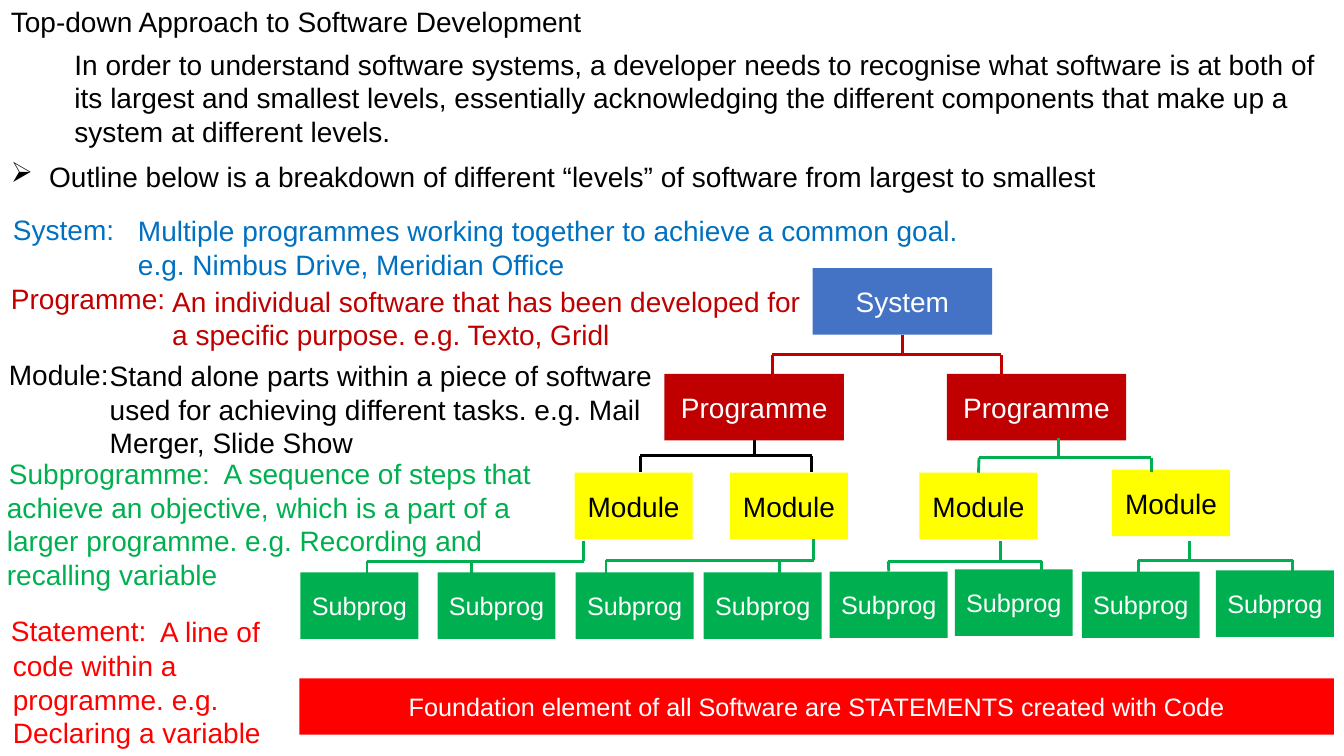
from dataclasses import dataclass

from lxml import etree
from pptx import Presentation
from pptx.dml.color import RGBColor
from pptx.enum.shapes import MSO_CONNECTOR, MSO_SHAPE
from pptx.enum.text import MSO_ANCHOR, MSO_AUTO_SIZE, PP_ALIGN
from pptx.oxml.ns import qn
from pptx.shapes.autoshape import Shape
from pptx.slide import Slide
from pptx.util import Pt

PX = 9144
RECTANGLE = MSO_SHAPE.RECTANGLE
STRAIGHT = MSO_CONNECTOR.STRAIGHT
MIDDLE = MSO_ANCHOR.MIDDLE
CENTER = PP_ALIGN.CENTER
GROW = MSO_AUTO_SIZE.SHAPE_TO_FIT_TEXT
TOP_SIDE, BOTTOM_SIDE = 0, 2

BLACK = RGBColor(0x00, 0x00, 0x00)
WHITE = RGBColor(0xFF, 0xFF, 0xFF)
SYSTEM_BLUE = RGBColor(0x44, 0x72, 0xC4)
TEXT_BLUE = RGBColor(0x00, 0x70, 0xC0)
DARK_RED = RGBColor(0xC0, 0x00, 0x00)
RED = RGBColor(0xFF, 0x00, 0x00)
YELLOW = RGBColor(0xFF, 0xFF, 0x00)
GREEN = RGBColor(0x00, 0xB0, 0x50)


@dataclass(frozen=True)
class Note:
    """A block of running text."""
    left: int
    top: int
    width: int
    height: int
    text: str
    color: RGBColor = BLACK
    margin: int = 0
    indent: int = 0
    bullet: str = ""


@dataclass(frozen=True)
class Level:
    """A row of equal boxes, one for each corner."""
    label: str
    width: int
    height: int
    size: int
    fill: RGBColor
    color: RGBColor
    corners: tuple[tuple[int, int], ...]


@dataclass(frozen=True)
class Bracket:
    """A stem, a bar and the drops that lead to the level below."""
    color: RGBColor
    stem: int
    top: int
    bar: int
    bottom: int
    drops: tuple[int, int]


NOTES = (
    Note(1, 0, 1296, 44, "Top-down Approach to Software Development"),
    Note(64, 42, 1268, 111,
         "In order to understand software systems, a developer needs to recognise what "
         "software is at both of its largest and smallest levels, essentially acknowledging "
         "the different components that make up a system at different levels."),
    Note(1, 153, 1337, 44,
         "Outline below is a breakdown of different “levels” of software from largest to smallest",
         margin=38, indent=-38, bullet="➢"),
    Note(3, 206, 123, 44, "System:", TEXT_BLUE),
    Note(127, 207, 868, 77,
         "Multiple programmes working together to achieve a common goal. "
         "e.g. Nimbus Drive, Meridian Office", TEXT_BLUE),
    Note(1, 274, 178, 44, "Programme:", DARK_RED),
    Note(161, 277, 645, 77,
         "An individual software that has been developed for a specific purpose. "
         "e.g. Texto, Gridl", DARK_RED),
    Note(-1, 350, 146, 44, "Module:"),
    Note(99, 351, 560, 111,
         "Stand alone parts within a piece of software used for achieving different tasks. "
         "e.g. Mail Merger, Slide Show"),
    Note(-1, 448, 222, 44, "Subprogramme:", GREEN),
    Note(-3, 448, 568, 145,
         "A sequence of steps that achieve an objective, which is a part of a larger "
         "programme. e.g. Recording and recalling variable", GREEN, indent=215),
    Note(1, 604, 160, 44, "Statement:", RED),
    Note(3, 605, 293, 145,
         "A line of code within a programme. e.g. Declaring a variable", RED, indent=146),
)

LEVELS = (
    Level("System", 178, 66, 20, SYSTEM_BLUE, WHITE, ((806, 266),)),
    Level("Programme", 178, 66, 20, DARK_RED, WHITE, ((659, 371), (939, 371))),
    Level("Module", 117, 66, 20, YELLOW, BLACK,
          ((570, 469), (724, 469), (912, 469), (1103, 466))),
    Level("Subprog", 117, 66, 18, GREEN, WHITE,
          ((298, 568), (434, 568), (571, 568), (698, 568),
           (823, 567), (947, 565), (1073, 567), (1206, 566))),
    Level("Foundation element of all Software are STATEMENTS created with Code",
          1026, 56, 18, RED, WHITE, ((297, 673),)),
)

BRACKETS = (
    Bracket(DARK_RED, 895, 332, 352, 371, (766, 993)),
    Bracket(BLACK, 748, 438, 452, 468, (635, 805)),
    Bracket(GREEN, 1050, 435, 454, 468, (971, 1142)),
    Bracket(GREEN, 579, 537, 557, 572, (364, 468)),
    Bracket(GREEN, 807, 535, 556, 572, (601, 773)),
    Bracket(GREEN, 992, 537, 557, 572, (881, 1033)),
    Bracket(GREEN, 1180, 537, 556, 572, (1129, 1282)),
)


def write(box: Shape, text: str, size: int, color: RGBColor) -> None:
    """Fill the first paragraph of a box with one formatted span."""
    span = box.text_frame.paragraphs[0].add_run()
    span.text = text
    for name, value in {"name": "Arial", "size": Pt(size)}.items():
        setattr(span.font, name, value)
    span.font.color.rgb = color


def add_note(page: Slide, note: Note) -> None:
    """Draw a wrapped text box with its indent and bullet."""
    box = page.shapes.add_textbox(
        note.left * PX, note.top * PX, note.width * PX, note.height * PX)
    for name, value in {"word_wrap": True, "auto_size": GROW}.items():
        setattr(box.text_frame, name, value)
    properties = box.text_frame.paragraphs[0]._p.get_or_add_pPr()
    properties.set("marL", str(note.margin * PX))
    properties.set("indent", str(note.indent * PX))
    if note.bullet:
        etree.SubElement(properties, qn("a:buChar"), char=note.bullet)
    write(box, note.text, 20, note.color)


def add_level(page: Slide, level: Level) -> list[Shape]:
    """Draw the boxes of one level and return them."""
    boxes = []
    for left, top in level.corners:
        box = page.shapes.add_shape(
            RECTANGLE, left * PX, top * PX, level.width * PX, level.height * PX)
        box.shadow.inherit = False
        box.fill.solid()
        box.fill.fore_color.rgb = level.fill
        box.line.fill.background()
        for name, value in {"word_wrap": True, "vertical_anchor": MIDDLE}.items():
            setattr(box.text_frame, name, value)
        box.text_frame.paragraphs[0].alignment = CENTER
        write(box, level.label, level.size, level.color)
        boxes.append(box)
    return boxes


def box_at(boxes: list[Shape], x: int, y: int, side: int) -> Shape | None:
    """Find the box whose top or bottom middle lies at a point."""
    for box in boxes:
        edge = box.top + (box.height if side == BOTTOM_SIDE else 0)
        if abs(box.left + box.width / 2 - x * PX) <= PX and abs(edge - y * PX) <= 6 * PX:
            return box
    return None


def add_bracket(page: Slide, bracket: Bracket, boxes: list[Shape]) -> None:
    """Draw a bracket, joined to the boxes it meets mid-side."""
    ends = (bracket.stem, *bracket.drops)
    segments = [(bracket.stem, bracket.top, bracket.stem, bracket.bar),
                (min(ends), bracket.bar, max(ends), bracket.bar)]
    segments += [(x, bracket.bar, x, bracket.bottom) for x in bracket.drops]
    for x1, y1, x2, y2 in segments:
        line = page.shapes.add_connector(STRAIGHT, x1 * PX, y1 * PX, x2 * PX, y2 * PX)
        line.line.color.rgb = bracket.color
        line.line.width = Pt(2)
        etree.SubElement(line._element.spPr, qn("a:effectLst"))
        parent = box_at(boxes, x1, y1, BOTTOM_SIDE)
        child = box_at(boxes, x2, y2, TOP_SIDE)
        if parent is not None:
            line.begin_connect(parent, BOTTOM_SIDE)
        if child is not None:
            line.end_connect(child, TOP_SIDE)


def main() -> None:
    """Build the slide and save the deck."""
    deck = Presentation()
    deck.slide_width, deck.slide_height = 1333 * PX, 750 * PX
    page = deck.slides.add_slide(deck.slide_layouts[6])
    for note in NOTES:
        add_note(page, note)
    boxes = [box for level in LEVELS for box in add_level(page, level)]
    for bracket in BRACKETS:
        add_bracket(page, bracket, boxes)
    deck.save("out.pptx")


if __name__ == "__main__":
    main()
